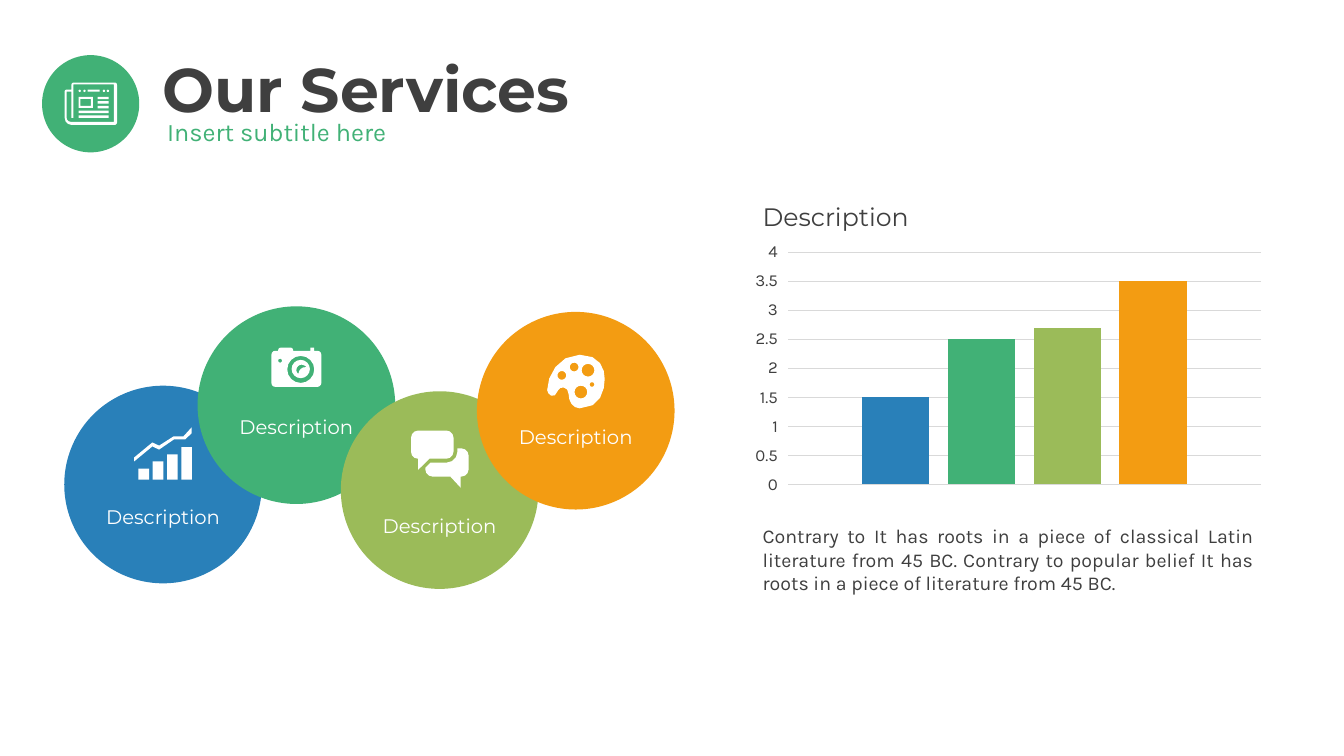
from dataclasses import dataclass
from math import cos, dist, pi, sin
from typing import NamedTuple

from pptx import Presentation
from pptx.chart.data import CategoryChartData
from pptx.dml.color import RGBColor
from pptx.enum.chart import XL_CHART_TYPE as ChartType, XL_TICK_MARK as TickMark
from pptx.enum.shapes import MSO_SHAPE as Shape
from pptx.enum.text import MSO_ANCHOR as Anchor, MSO_AUTO_SIZE as AutoSize, PP_ALIGN as Align
from pptx.oxml import parse_xml
from pptx.oxml.ns import nsdecls
from pptx.util import Cm, Pt

COLORS = {"green": "41B176", "blue": "2980B9", "lime": "9BBB59", "orange": "F39C12",
          "ink": "3F3F3F", "white": "FFFFFF", "grid": "D9D9D9"}
DIAMETER = 4.98
Point = tuple[float, float]
Contour = list[Point]


@dataclass
class Service:
    left: float
    top: float
    label_top: float
    color: str
    value: float


class Corner(NamedTuple):
    x: float
    y: float
    radius: float = 0


SERVICES = [
    Service(1.62, 9.72, 12.6, "blue", 1.5),
    Service(4.98, 7.72, 10.34, "green", 2.5),
    Service(8.59, 9.86, 12.83, "lime", 2.7),
    Service(12.02, 7.86, 10.58, "orange", 3.5),
]


def rgb(name: str) -> RGBColor:
    return RGBColor.from_string(COLORS[name])


# Outline helpers, all in centimetres
def curve(points: list[Point], steps: int = 4) -> Contour:
    """Sample a chain of cubic curves: a start, then three points for each curve."""
    result = [points[0]]
    for first in range(0, len(points) - 1, 3):
        a, b, c, d = points[first:first + 4]
        for step in range(1, steps + 1):
            t = step / steps
            weights = ((1 - t) ** 3, 3 * t * (1 - t) ** 2, 3 * t * t * (1 - t), t ** 3)
            result.append(tuple(sum(w * p[axis] for w, p in zip(weights, (a, b, c, d)))
                                for axis in (0, 1)))
    return result


def polygon(*corners: tuple) -> Contour:
    """Join corners, rounding those that have a radius."""
    items = [Corner(*corner) for corner in corners]
    result = []
    for index, item in enumerate(items):
        here = (item.x, item.y)
        if not item.radius:
            result.append(here)
            continue
        ends = []
        for other in (items[index - 1], items[(index + 1) % len(items)]):
            share = item.radius / dist(here, other[:2])
            ends.append((item.x + (other.x - item.x) * share,
                         item.y + (other.y - item.y) * share))
        controls = [tuple(e + (h - e) * 0.55 for e, h in zip(end, here)) for end in ends]
        result += curve([ends[0], *controls, ends[1]], 3)
    return result


def box_outline(left: float, top: float, width: float, height: float) -> Contour:
    right, bottom = left + width, top + height
    return [(left, top), (right, top), (right, bottom), (left, bottom)]


def ring(x: float, y: float, radius: float) -> Contour:
    count = 8 if radius < 0.1 else 16
    angles = [2 * pi * k / count for k in range(count)]
    return [(x + radius * cos(angle), y + radius * sin(angle)) for angle in angles]


# Icons: nested contours cut holes
NEWSPAPER = [
    polygon((1.8, 2.08, .06), (2.95, 2.08, .06), (2.95, 3.15, .06), (1.63, 3.15, .18),
            (1.63, 2.26, .05), (1.8, 2.26)),
    polygon((2.87, 3.07), (1.68, 3.07, .1), (1.68, 2.31), (1.8, 2.31), (1.8, 2.97),
            (1.85, 2.97), (1.85, 2.13), (2.87, 2.13)),
    box_outline(1.98, 2.44, .36, .28),
    box_outline(2.03, 2.49, .26, .18),
    box_outline(2.21, 2.26, .3, .05),
    *[box_outline(2.46, top, .28, .06) for top in (2.44, 2.55, 2.67)],
    *[box_outline(1.98, top, .76, .06) for top in (2.79, 2.91)],
    *[ring(x, 2.29, .03) for x in (2.01, 2.13, 2.62, 2.72)],
]
PALETTE = [
    curve([(14.61, 8.94), (14.07, 8.94), (13.79, 9.47), (13.79, 9.83), (13.79, 9.93),
           (13.97, 10.11), (14.07, 9.83), (14.1, 9.73), (14.33, 9.73), (14.33, 9.93),
           (14.33, 10.11), (14.43, 10.29), (14.61, 10.29), (15.14, 10.29), (15.24, 9.83),
           (15.24, 9.55), (15.24, 9.3), (15.14, 8.94), (14.61, 8.94)]),
    ring(14.16, 9.46, .11), ring(14.47, 9.25, .11), ring(14.64, 9.88, .16),
    ring(14.92, 9.69, .06), ring(14.82, 9.33, .16),
]
BACK_BUBBLE = [polygon((11.53, 11.3), (11.81, 11.3, .18), (11.81, 12.01, .18), (11.61, 12.01),
                       (11.61, 12.29), (11.35, 12.01), (10.72, 12.01, .18), (10.72, 11.79),
                       (10.85, 11.66), (11.53, 11.66, .28))]
FRONT_BUBBLE = [polygon((10.36, 10.85, .18), (11.43, 10.85, .18), (11.43, 11.56, .18),
                        (10.82, 11.56), (10.54, 11.84), (10.54, 11.56), (10.36, 11.56, .17))]
GROWTH_LINE = [[(4.62, 11), (4.37, 11), (4.01, 11.23), (3.84, 11.15), (3.38, 11.53),
                (3.38, 11.63), (3.84, 11.25), (4.01, 11.33), (4.39, 11.07), (4.67, 11.07),
                (4.83, 10.92), (4.83, 10.77)]]
LENS = [
    ring(7.58, 9.3, .23),
    curve([(7.52, 9.42), (7.49, 9.4), (7.47, 9.37), (7.47, 9.32), (7.47, 9.25), (7.54, 9.19),
           (7.59, 9.19), (7.65, 9.19), (7.7, 9.22), (7.72, 9.25), (7.59, 9.25), (7.54, 9.32),
           (7.52, 9.42)]),
]
CAMERA = [
    polygon((6.84, 8.84, .1), (7.01, 8.84), (7.01, 8.76, .07), (7.39, 8.76, .07), (7.39, 8.84),
            (7.82, 8.84), (7.82, 8.76), (7.92, 8.76), (7.92, 8.84), (8.1, 8.84, .1),
            (8.1, 9.75, .1), (6.84, 9.75, .1)),
    ring(7.06, 9.09, .05), ring(7.58, 9.31, .34),
]


# Drawing functions
def paint(shape, color: str) -> None:
    shape.shadow.inherit = False
    shape.fill.solid()
    shape.fill.fore_color.rgb = rgb(color)
    shape.line.fill.background()


def draw_shape(page, kind: Shape, area: tuple[float, ...], color: str) -> None:
    paint(page.shapes.add_shape(kind, *map(Cm, area)), color)


def draw_icon(page, contours: list[Contour]) -> None:
    outlines = [[(Cm(x), Cm(y)) for x, y in contour] for contour in contours]
    builder = page.shapes.build_freeform(*outlines[0][0])
    for index, outline in enumerate(outlines):
        if index:
            builder.move_to(*outline[0])
        builder.add_line_segments(outline[1:], close=True)
    paint(builder.convert_to_shape(), "white")


def style_font(font, name: str, size: float, color: str, bold: bool = False) -> None:
    for key, value in {"name": name, "size": Pt(size), "bold": bold}.items():
        setattr(font, key, value)
    font.color.rgb = rgb(color)


def write(box, text: str, name: str, size: float, color: str, align=Align.LEFT,
          bold: bool = False, wrap: bool = True, anchor=Anchor.TOP):
    frame = box.text_frame
    settings = {"word_wrap": wrap, "auto_size": AutoSize.NONE, "vertical_anchor": anchor}
    for key, value in settings.items():
        setattr(frame, key, value)
    para = frame.paragraphs[0]
    para.alignment = align
    span = para.add_run()
    span.text = text
    style_font(span.font, name, size, color, bold)
    return para


def place(box, left: float, top: float, width: float, height: float) -> None:
    for key, value in {"left": left, "top": top, "width": width, "height": height}.items():
        setattr(box, key, Cm(value))


def add_text(page, area: tuple[float, ...], *args, **options) -> None:
    write(page.shapes.add_textbox(*map(Cm, area)), *args, **options)


def draw_chart(page) -> None:
    data = CategoryChartData()
    data.categories = ["1"]
    for number, service in enumerate(SERVICES, 1):
        data.add_series(f"Series {number}", [service.value])
    area = map(Cm, (18.77, 5.97, 13.28, 6.62))
    chart = page.shapes.add_chart(ChartType.COLUMN_CLUSTERED, *area, data).chart
    chart.has_legend = chart.has_title = False
    style_font(chart.font, "Karla", 10, "ink")
    plot = chart.plots[0]
    for key, value in {"gap_width": 219, "overlap": -27, "vary_by_categories": False}.items():
        setattr(plot, key, value)
    for series, service in zip(plot.series, SERVICES):
        series.format.fill.solid()
        series.format.fill.fore_color.rgb = rgb(service.color)
    chart.category_axis.visible = False
    axis = chart.value_axis
    axis.major_tick_mark = TickMark.OUTSIDE
    style_font(axis.tick_labels.font, "Karla", 12, "ink")
    axis.format.line.fill.background()
    grid = axis.major_gridlines.format.line
    grid.width = Pt(0.75)
    grid.color.rgb = rgb("grid")


def main() -> None:
    deck = Presentation()
    deck.slide_width, deck.slide_height = Cm(33.87), Cm(19.05)
    page = deck.slides.add_slide(deck.slide_layouts[1])

    # Heading
    title, subtitle = page.placeholders
    place(title, 3.84, 1.02, 27.94, 2.62)
    para = write(title, "Our Services", "Montserrat", 44, "ink", bold=True, anchor=Anchor.MIDDLE)
    para.line_spacing = 0.9
    place(subtitle, 3.96, 2.9, 28.02, 1.65)
    para = write(subtitle, "Insert subtitle here", "Karla", 18, "green")
    para.line_spacing, para.space_before = 0.9, Pt(10)
    properties = para._p.get_or_add_pPr()
    properties.set("marL", "0")
    properties.set("indent", "0")
    properties.append(parse_xml(f"<a:buNone {nsdecls('a')}/>"))
    draw_shape(page, Shape.OVAL, (1.06, 1.39, 2.45, 2.45), "green")

    # Overlapping service circles, icons and labels
    for service in SERVICES:
        draw_shape(page, Shape.OVAL, (service.left, service.top, DIAMETER, DIAMETER), service.color)
    for icon in (NEWSPAPER, PALETTE, BACK_BUBBLE, FRONT_BUBBLE):
        draw_icon(page, icon)
    for step in range(4):
        rise = 0.18 * step
        draw_shape(page, Shape.RECTANGLE, (3.49 + 2 * rise, 11.81 - rise, 0.27, 0.28 + rise),
                   "white")
    for icon in (GROWTH_LINE, LENS, CAMERA):
        draw_icon(page, icon)
    for service in SERVICES:
        add_text(page, (service.left + 0.8, service.label_top, DIAMETER - 1.6, 0.86),
                 "Description", "Montserrat", 14, "white", align=Align.CENTER, wrap=False)

    # Chart and its texts
    draw_chart(page)
    add_text(page, (18.97, 4.95, 6.22, 1.02), "Description", "Montserrat", 18, "ink")
    add_text(page, (18.97, 13.08, 12.88, 2.06),
             "Contrary to It has roots in a piece of classical Latin literature from 45 BC. "
             "Contrary to popular belief It has roots in a piece of literature from 45 BC.",
             "Karla", 14, "ink", align=Align.JUSTIFY)
    deck.save("out.pptx")


if __name__ == "__main__":
    main()
